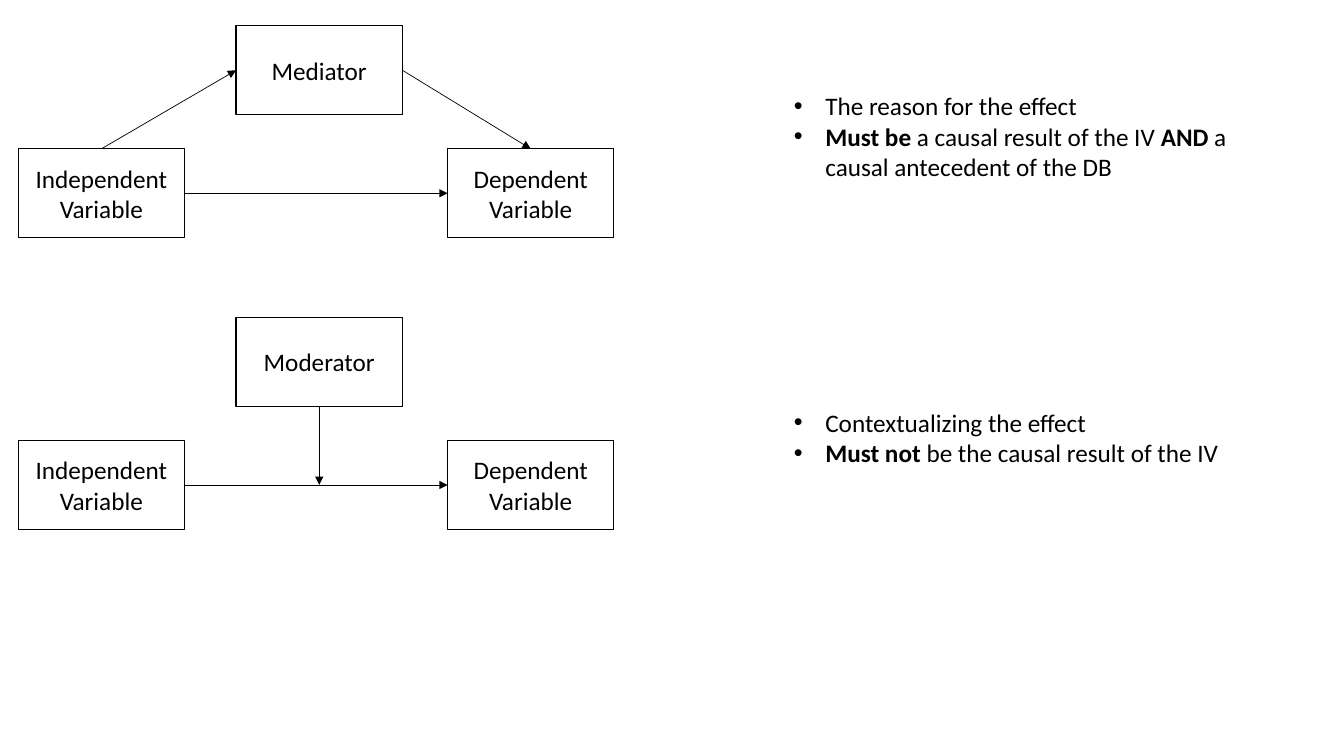
from lxml.etree import SubElement
from pptx import Presentation
from pptx.dml.color import RGBColor
from pptx.enum.shapes import MSO_CONNECTOR as Line, MSO_SHAPE as Shape
from pptx.enum.text import MSO_ANCHOR as Anchor, MSO_AUTO_SIZE as AutoSize, PP_ALIGN as Align
from pptx.oxml.ns import qn
from pptx.util import Cm, Pt

COLOURS = {"ink": "000000", "paper": "FFFFFF"}
FONT, TEXT_SIZE = "Calibri", Pt(18)
BOX_WIDTH, BOX_HEIGHT = Cm(4.19), Cm(2.24)
MIDDLE_SHIFT, RIGHT_SHIFT, LOWER_SHIFT = Cm(5.49), Cm(10.82), Cm(3.1)
BULLET_INDENT = Cm(0.79)
TOP, LEFT, BOTTOM, RIGHT = range(4)  # connection sites of a rectangle


def colour(name):
    return RGBColor.from_string(COLOURS[name])


def style_font(font, bold=False):
    font.name, font.size, font.bold = FONT, TEXT_SIZE, bold
    font.color.rgb = colour("ink")


def add_variable(page, text, left, top):
    box = page.shapes.add_shape(Shape.RECTANGLE, left, top, BOX_WIDTH, BOX_HEIGHT)
    box.shadow.inherit = False
    box.fill.solid()
    box.fill.fore_color.rgb = colour("paper")
    box.line.color.rgb = colour("ink")
    box.line.width = Pt(1)
    frame = box.text_frame
    frame.word_wrap = True
    frame.vertical_anchor = Anchor.MIDDLE
    frame.text = text
    para = frame.paragraphs[0]
    para.alignment = Align.CENTER
    style_font(para.runs[0].font)
    return box


def add_arrow(page, start, start_site, end=None, end_site=None, end_point=(0, 0)):
    """Join two boxes, or run from a box to a free end point."""
    arrow = page.shapes.add_connector(Line.STRAIGHT, 0, 0, *end_point)
    arrow.begin_connect(start, start_site)
    if end is not None:
        arrow.end_connect(end, end_site)
    arrow.line.color.rgb = colour("ink")
    arrow.line.width = Pt(0.5)
    properties = arrow._element.spPr
    SubElement(properties.find(qn("a:ln")), qn("a:tailEnd"), type="triangle")
    SubElement(properties, qn("a:effectLst"))


def add_base_diagram(page, left, top, middle_text):
    """Draw the three variables and the direct effect; return the boxes."""
    lower = top + LOWER_SHIFT
    independent = add_variable(page, "Independent Variable", left, lower)
    middle = add_variable(page, middle_text, left + MIDDLE_SHIFT, top)
    dependent = add_variable(page, "Dependent Variable", left + RIGHT_SHIFT, lower)
    add_arrow(page, independent, RIGHT, dependent, LEFT)
    return independent, middle, dependent


def add_mediation(page, left, top):
    independent, mediator, dependent = add_base_diagram(page, left, top, "Mediator")
    add_arrow(page, independent, TOP, mediator, LEFT)
    add_arrow(page, mediator, RIGHT, dependent, TOP)


def add_moderation(page, left, top):
    independent, moderator, _ = add_base_diagram(page, left, top, "Moderator")
    effect = (moderator.left + BOX_WIDTH // 2, independent.top + BOX_HEIGHT // 2)
    add_arrow(page, moderator, BOTTOM, end_point=effect)


def add_notes_list(page, left, top, width, height, items):
    """Write bulleted items, each a list of (text, bold) spans."""
    box = page.shapes.add_textbox(left, top, width, height)
    frame = box.text_frame
    frame.word_wrap = True
    frame.auto_size = AutoSize.SHAPE_TO_FIT_TEXT
    for index, spans in enumerate(items):
        para = frame.add_paragraph() if index else frame.paragraphs[0]
        properties = para._p.get_or_add_pPr()
        properties.set("marL", str(BULLET_INDENT))
        properties.set("indent", str(-BULLET_INDENT))
        SubElement(properties, qn("a:buFont"), typeface="Arial")
        SubElement(properties, qn("a:buChar"), char="•")
        for text, bold in spans:
            span = para.add_run()
            span.text = text
            style_font(span.font, bold)


def main():
    deck = Presentation()
    deck.slide_width, deck.slide_height = Cm(33.87), Cm(19.05)
    page = deck.slides.add_slide(deck.slide_layouts[6])

    add_mediation(page, Cm(0.46), Cm(0.65))
    add_moderation(page, Cm(0.46), Cm(8))

    add_notes_list(page, Cm(19.76), Cm(2.16), Cm(12.4), Cm(2.57), [
        [("The reason for the effect", False)],
        [("Must be ", True), ("a causal result of the IV ", False),
         ("AND", True), (" a causal antecedent of the DB", False)],
    ])
    add_notes_list(page, Cm(19.76), Cm(10.13), Cm(12.4), Cm(1.8), [
        [("Contextualizing the effect", False)],
        [("Must not ", True), ("be the causal result of the IV", False)],
    ])
    deck.save("out.pptx")


if __name__ == "__main__":
    main()
